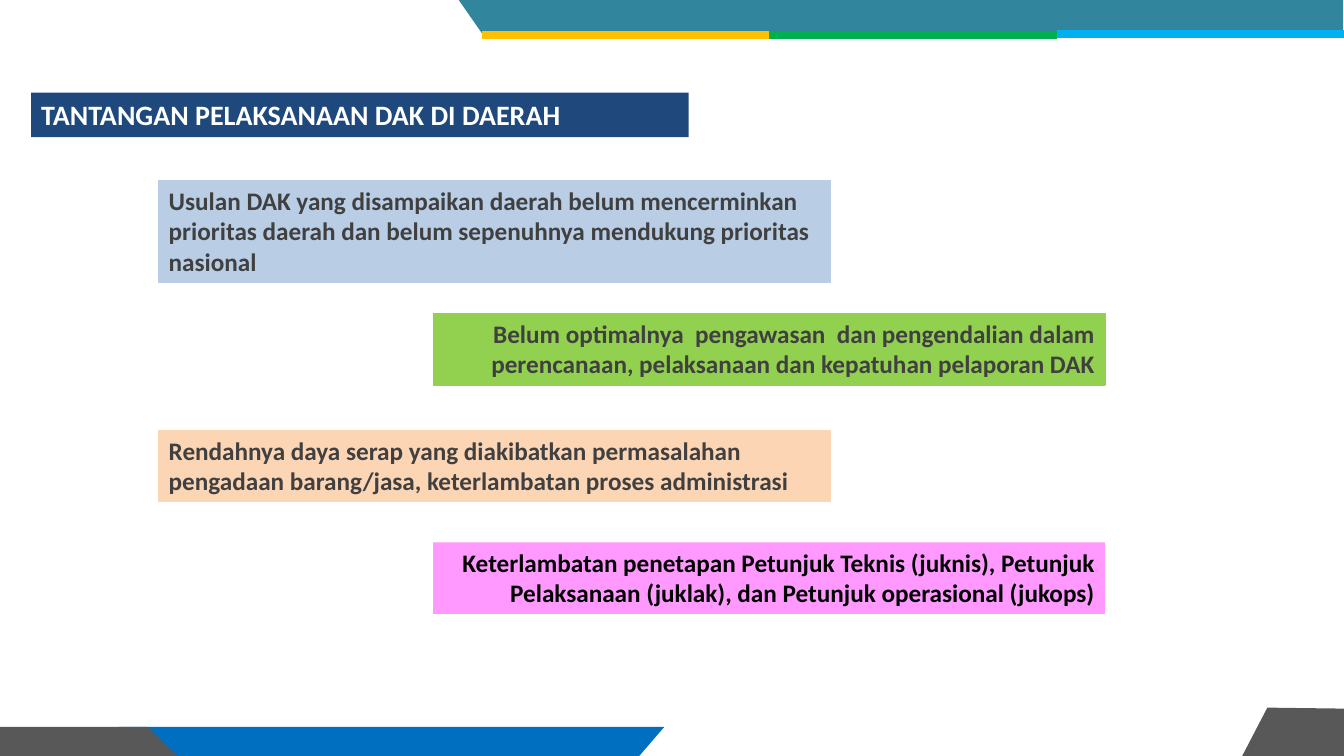
from lxml import etree
from pptx import Presentation
from pptx.dml.color import RGBColor
from pptx.enum.shapes import MSO_CONNECTOR, MSO_SHAPE
from pptx.enum.text import MSO_ANCHOR, PP_ALIGN
from pptx.oxml.ns import qn
from pptx.util import Inches, Pt

WIDTH, HEIGHT = 13.33, 7.5

WHITE = RGBColor(0xFF, 0xFF, 0xFF)
BLACK = RGBColor(0, 0, 0)
CHARCOAL = RGBColor(0x40, 0x40, 0x40)
GREY = RGBColor(0x58, 0x58, 0x58)
NAVY = RGBColor(0x1F, 0x49, 0x7D)
BLUE = RGBColor(0x00, 0x6F, 0xC0)
TEAL = RGBColor(0x31, 0x85, 0x9C)
AMBER = RGBColor(0xFF, 0xC0, 0x00)
GREEN = RGBColor(0x00, 0xB0, 0x50)
SKY = RGBColor(0x00, 0xB0, 0xF0)
PALE_BLUE = RGBColor(0xB9, 0xCD, 0xE5)
LIME = RGBColor(0x92, 0xD0, 0x50)
PEACH = RGBColor(0xFC, 0xD5, 0xB5)
PINK = RGBColor(0xFF, 0x99, 0xFF)

# Content
TITLE = "TANTANGAN PELAKSANAAN DAK DI DAERAH"
# text, top, height, fill, outline, text colour
CHALLENGES = [
    ("Usulan DAK yang disampaikan daerah belum mencerminkan prioritas daerah "
     "dan belum sepenuhnya mendukung prioritas nasional",
     1.79, 1.01, PALE_BLUE, PALE_BLUE, CHARCOAL),
    ("Belum optimalnya  pengawasan  dan pengendalian dalam perencanaan, "
     "pelaksanaan dan kepatuhan pelaporan DAK",
     3.11, 0.71, LIME, LIME, CHARCOAL),
    ("Rendahnya daya serap yang diakibatkan permasalahan pengadaan "
     "barang/jasa, keterlambatan proses administrasi",
     4.27, 0.71, PEACH, PEACH, CHARCOAL),
    ("Keterlambatan penetapan Petunjuk Teknis (juknis), Petunjuk Pelaksanaan "
     "(juklak), dan Petunjuk operasional (jukops)",
     5.38, 0.71, PINK, None, BLACK),
]
COLUMNS = [(1.575, PP_ALIGN.LEFT), (4.295, PP_ALIGN.RIGHT)]
CHALLENGE_WIDTH = WIDTH / 2

# Decoration
FOOTER_TOP = 7.21
STRIPE_LEFT = 4.78
BANDS = [
    (BLUE, [(6.59, FOOTER_TOP), (1.18, FOOTER_TOP), (1.18, HEIGHT), (6.34, HEIGHT)]),
    (GREY, [(1.46, FOOTER_TOP), (0, FOOTER_TOP), (0, HEIGHT), (1.76, HEIGHT)]),
    (GREY, [(12.57, 7.02), (12.32, HEIGHT), (WIDTH, HEIGHT), (WIDTH, 7.03)]),
    (TEAL, [(4.55, 0), (13.32, 0), (13.32, 0.31), (STRIPE_LEFT, 0.33)]),
]
STRIPES = [(AMBER, 0.35), (GREEN, 0.35), (SKY, 0.34)]

deck = Presentation()
deck.slide_width, deck.slide_height = Inches(WIDTH), Inches(HEIGHT)
slide = deck.slides.add_slide(deck.slide_layouts[6])


def paint(shape, fill, outline=None):
    shape.shadow.inherit = False
    shape.fill.solid()
    shape.fill.fore_color.rgb = fill
    if outline is None:
        shape.line.fill.background()
    else:
        shape.line.color.rgb = outline
        shape.line.width = Pt(0.75)


def add_label(text, left, top, width, height, *, fill, color, size=18,
              outline=None, align=PP_ALIGN.LEFT):
    label = slide.shapes.add_shape(
        MSO_SHAPE.RECTANGLE, *map(Inches, (left, top, width, height)))
    paint(label, fill, outline)
    frame = label.text_frame
    frame.word_wrap = True
    frame.vertical_anchor = MSO_ANCHOR.TOP
    paragraph = frame.paragraphs[0]
    paragraph.alignment = align
    run = paragraph.add_run()
    run.text = text
    run.font.name = "Calibri"
    run.font.size = Pt(size)
    run.font.bold = True
    run.font.color.rgb = color


# Footer and header bands
for color, corners in BANDS:
    start, *others = [(Inches(x), Inches(y)) for x, y in corners]
    builder = slide.shapes.build_freeform(*start, scale=1.0)
    builder.add_line_segments(others, close=True)
    paint(builder.convert_to_shape(), color)

# Three equal stripes under the header
stripe_width = (WIDTH - STRIPE_LEFT) / len(STRIPES)
for i, (color, y) in enumerate(STRIPES):
    left = STRIPE_LEFT + i * stripe_width
    stripe = slide.shapes.add_connector(
        MSO_CONNECTOR.STRAIGHT, *map(Inches, (left, y, left + stripe_width, y)))
    stripe.line.color.rgb = color
    stripe.line.width = Pt(6)
    etree.SubElement(stripe._element.spPr, qn("a:effectLst"))

# Title
add_label(TITLE, 0.31, 0.92, 6.52, 0.44, fill=NAVY, color=WHITE, size=20)

# Challenges, alternating between the two columns
for i, (text, top, height, fill, outline, color) in enumerate(CHALLENGES):
    left, align = COLUMNS[i % len(COLUMNS)]
    add_label(text, left, top, CHALLENGE_WIDTH, height,
              fill=fill, outline=outline, color=color, align=align)

deck.save("out.pptx")
